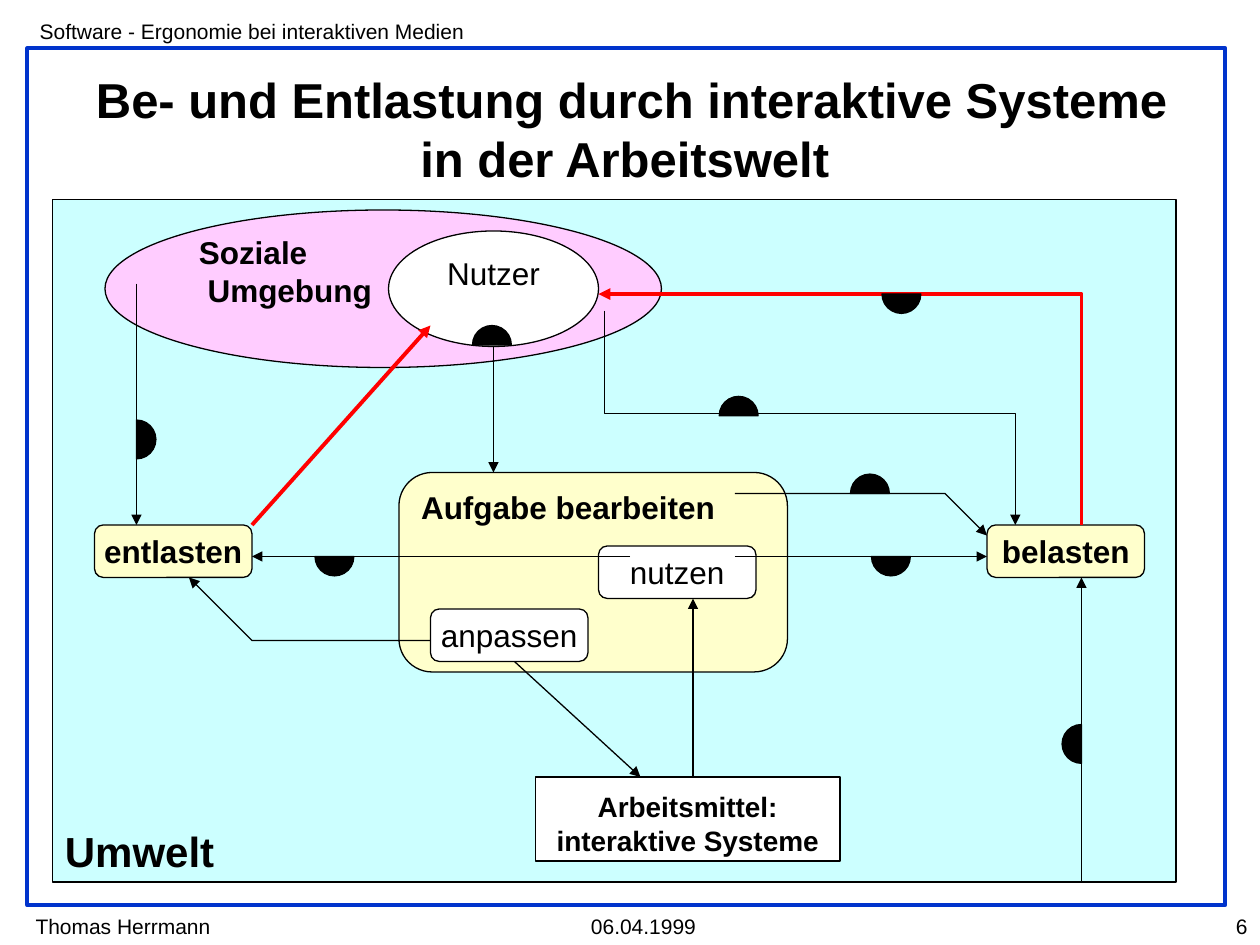
import pptx
import pptx.util
import pptx.dml.color
import pptx.enum.shapes
import pptx.enum.text
import pptx.oxml
import pptx.oxml.ns

RGBColor = pptx.dml.color.RGBColor
SHAPE = pptx.enum.shapes.MSO_SHAPE
ALIGN = pptx.enum.text.PP_ALIGN
ANCHOR = pptx.enum.text.MSO_ANCHOR

BLACK = RGBColor(0x00, 0x00, 0x00)
WHITE = RGBColor(0xFF, 0xFF, 0xFF)
BLUE = RGBColor(0x00, 0x33, 0xCC)
RED = RGBColor(0xFF, 0x00, 0x00)
CYAN = RGBColor(0xCC, 0xFF, 0xFF)
PINK = RGBColor(0xFF, 0xCC, 0xFF)
YELLOW = RGBColor(0xFF, 0xFF, 0xCC)

COLS = 120
FONT = "Arial"
THIN, THICK = 0.75, 2.25
DISC = 3.7
# Start and end angle of each half disc, clockwise from the right
HALVES = {"up": (180, 0), "down": (0, 180), "left": (90, 270), "right": (270, 90)}


class Diagram:
    """Draws on one slide; lengths are cells of a grid 120 columns wide."""

    def __init__(self, prs):
        self.unit = prs.slide_width / COLS
        self.s = prs.slides.add_slide(prs.slide_layouts[5])

    def emu(self, *cells):
        return [pptx.util.Emu(round(c * self.unit)) for c in cells]

    def set_text(self, tf, text, size, bold=False, align=ALIGN.LEFT,
                 anchor=ANCHOR.TOP, wrap=False, top=0.05):
        tf.text = text
        tf.word_wrap = wrap
        tf.auto_size = pptx.enum.text.MSO_AUTO_SIZE.NONE
        tf.vertical_anchor = anchor
        tf.margin_top = pptx.util.Inches(top)
        for p in tf.paragraphs:
            p.alignment = align
            p.font.name = FONT
            p.font.size = pptx.util.Pt(size)
            p.font.bold = bold
            p.font.color.rgb = BLACK

    def title(self, text, *box):
        sp = self.s.shapes.title
        sp.left, sp.top, sp.width, sp.height = self.emu(*box)
        self.set_text(sp.text_frame, text, 28, True, ALIGN.CENTER, ANCHOR.MIDDLE, True)

    def label(self, text, *box, **style):
        sp = self.s.shapes.add_textbox(*self.emu(*box))
        self.set_text(sp.text_frame, text, 12, **style)

    def shape(self, kind, box, fill=None, line=BLACK, width=THIN):
        sp = self.s.shapes.add_shape(kind, *self.emu(*box))
        sp.shadow.inherit = False
        if fill is None:
            sp.fill.background()
        else:
            sp.fill.solid()
            sp.fill.fore_color.rgb = fill
        sp.line.color.rgb = line
        sp.line.width = pptx.util.Pt(width)
        return sp

    def node(self, kind, box, fill, text, size=18, **style):
        self.set_text(self.shape(kind, box, fill).text_frame, text, size, **style)

    def step(self, text, x, y, fill, bold=False):
        self.node(SHAPE.ROUNDED_RECTANGLE, (x, y, 15, 5), fill, text,
                  bold=bold, align=ALIGN.CENTER, anchor=ANCHOR.MIDDLE)

    def half_disc(self, side, x, y):
        r = DISC / 2
        sp = self.shape(SHAPE.CHORD, (x - r, y - r, DISC, DISC), BLACK)
        # Angles are stored in 60000ths of a degree, adjustments in 100000ths
        for i, angle in enumerate(HALVES[side]):
            sp.adjustments[i] = angle * 0.6

    def arrow(self, *points, color=BLACK, width=THIN):
        pts = [self.emu(*pt) for pt in points]
        if len(pts) == 2:
            straight = pptx.enum.shapes.MSO_CONNECTOR.STRAIGHT
            sp = self.s.shapes.add_connector(straight, *pts[0], *pts[1])
            sp._element.spPr.append(pptx.oxml.parse_xml(
                "<a:effectLst %s/>" % pptx.oxml.ns.nsdecls("a")))
        else:
            outline = self.s.shapes.build_freeform(*pts[0])
            outline.add_line_segments(pts[1:], close=False)
            sp = outline.convert_to_shape()
            sp.shadow.inherit = False
            sp.fill.background()
        sp.line.color.rgb = color
        sp.line.width = pptx.util.Pt(width)
        sp.line._get_or_add_ln().append(pptx.oxml.parse_xml(
            '<a:tailEnd %s type="triangle"/>' % pptx.oxml.ns.nsdecls("a")))


def main():
    prs = pptx.Presentation()
    prs.slide_width = pptx.util.Inches(10)
    prs.slide_height = pptx.util.Inches(7.5)
    d = Diagram(prs)

    # Frame, header and footer
    d.shape(SHAPE.RECTANGLE, (2.6, 4.6, 114.1, 81.6), line=BLUE, width=THICK)
    d.label("Software - Ergonomie bei interaktiven Medien", 2.6, 1.2, 44.4, 3.6)
    d.label("Thomas Herrmann", 2.2, 86.4, 19.1, 3.6)
    d.label("06.04.1999", 55.1, 86.4, 12.4, 3.6)
    d.label("6", 108.5, 86.4, 11.5, 3.6, align=ALIGN.RIGHT, wrap=True)
    d.title(" Be- und Entlastung durch interaktive Systeme in der Arbeitswelt",
            4, 6, 111, 12.5)

    # Environment
    d.node(SHAPE.RECTANGLE, (5, 19, 107, 65), CYAN, "Umwelt", 24,
           bold=True, anchor=ANCHOR.BOTTOM)
    d.node(SHAPE.OVAL, (10, 20, 53, 15), PINK, "Soziale\n Umgebung",
           bold=True, top=0)
    d.arrow((13, 27), (13, 50))
    d.half_disc("right", 13, 41.85)
    d.arrow((57.6, 29.6), (57.6, 39.4), (96.7, 39.4), (96.7, 50))
    d.half_disc("up", 70.35, 39.6)

    # Tools, task and user
    d.node(SHAPE.RECTANGLE, (51, 74, 29, 8), WHITE,
           "Arbeitsmittel:\ninteraktive Systeme", 16,
           bold=True, align=ALIGN.CENTER, top=0.1)
    d.node(SHAPE.ROUNDED_RECTANGLE, (38, 45, 37, 19), YELLOW,
           "Aufgabe bearbeiten", bold=True)
    d.node(SHAPE.OVAL, (37, 22, 20, 11), WHITE, "Nutzer", align=ALIGN.CENTER)
    d.arrow((47, 33), (47, 45))
    d.arrow((66, 74), (66, 57))
    d.half_disc("up", 46.85, 32.85)

    # Adapting
    d.step("anpassen", 41, 58, WHITE)
    d.arrow((49, 63), (61, 74))
    d.arrow((41, 61), (24, 61), (18, 55))

    # Strain
    d.arrow((70, 47), (90, 47), (94, 51))
    d.half_disc("up", 82.85, 47)
    d.step("belasten", 94, 50, YELLOW, True)
    d.step("nutzen", 57, 52, WHITE)
    d.arrow((70, 53), (94, 53))
    d.half_disc("down", 84.85, 53)
    d.arrow((103, 84), (103, 55))
    d.half_disc("left", 103, 70.85)
    d.arrow((103, 50), (103, 28), (57, 28), color=RED, width=THICK)
    d.half_disc("down", 85.85, 28)

    # Relief
    d.step("entlasten", 9, 50, YELLOW, True)
    d.arrow((24, 50), (41, 31), color=RED, width=THICK)
    d.arrow((60, 53), (24, 53))
    d.half_disc("down", 31.85, 53)

    prs.save("out.pptx")


if __name__ == "__main__":
    main()
